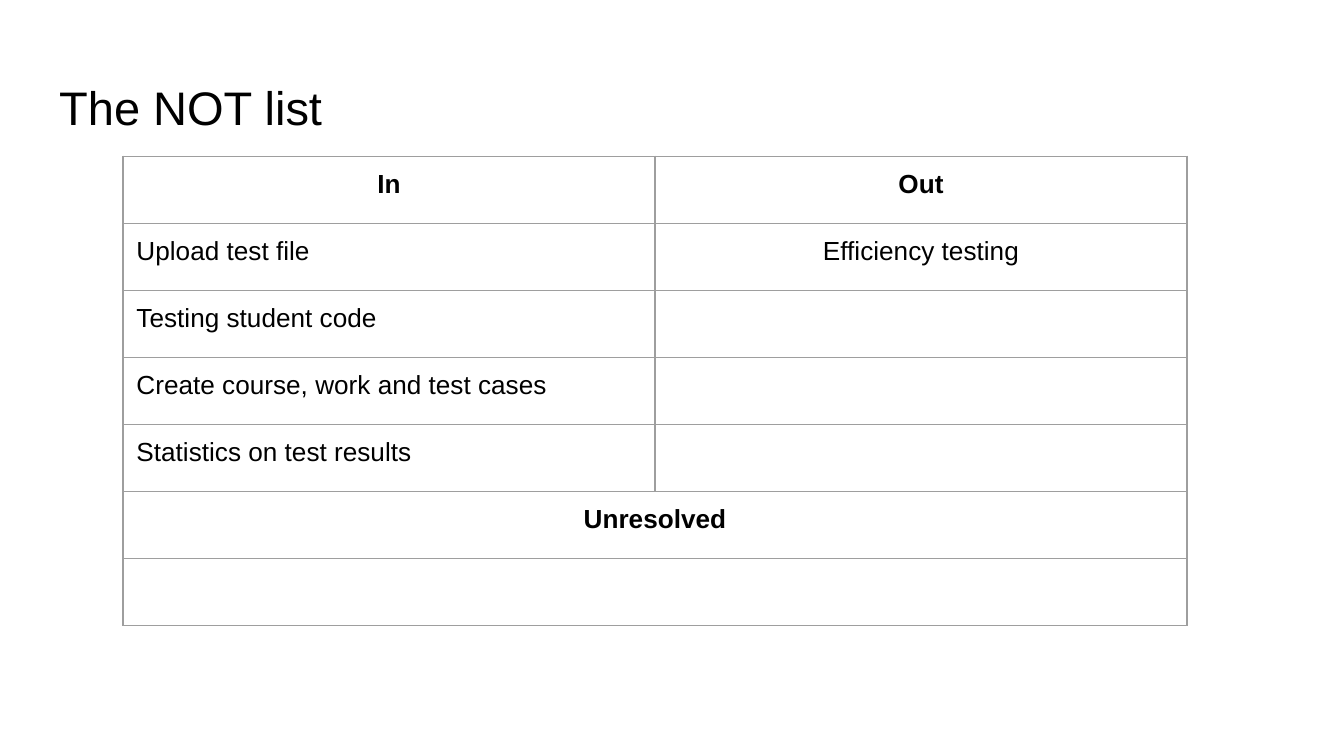
from lxml.etree import SubElement
from pptx import Presentation
from pptx.dml.color import RGBColor
from pptx.enum.text import MSO_ANCHOR as Anchor, MSO_AUTO_SIZE as AutoSize, PP_ALIGN as Align
from pptx.oxml.ns import qn
from pptx.util import Pt

ROWS = [
    ("In", "Out"),
    ("Upload test file", "Efficiency testing"),
    ("Testing student code", ""),
    ("Create course, work and test cases", ""),
    ("Statistics on test results", ""),
    ("Unresolved", ""),
    ("", ""),
]
HEADINGS = {"In", "Out", "Unresolved"}
FULL_WIDTH_ROWS = (5, 6)


def color(hex_code):
    return RGBColor.from_string(hex_code)


class SlideBuilder:
    font = "Arial"
    ink = "000000"
    grid = "9E9E9E"
    grid_width = 0.75
    inset = 7.2

    def __init__(self, slide):
        self.slide = slide

    def style(self, paragraph, size, bold=False, align=Align.LEFT):
        paragraph.alignment = align
        font = paragraph.font
        font.name, font.size, font.bold = self.font, Pt(size), bold
        font.color.rgb = color(self.ink)

    def set_insets(self, holder):
        """Give a cell or a text frame the same margin on every side."""
        holder.margin_left = holder.margin_right = Pt(self.inset)
        holder.margin_top = holder.margin_bottom = Pt(self.inset)

    def title(self, text, left, top, width, height):
        heading = self.slide.shapes.title
        heading.left, heading.top = Pt(left), Pt(top)
        heading.width, heading.height = Pt(width), Pt(height)
        frame = heading.text_frame
        frame.text = text
        frame.word_wrap = True
        frame.auto_size = AutoSize.NONE
        frame.vertical_anchor = Anchor.TOP
        self.set_insets(frame)
        self.style(frame.paragraphs[0], 25.2)

    def borders(self, cell):
        properties = cell._tc.get_or_add_tcPr()
        for side in ("lnL", "lnR", "lnT", "lnB"):
            line = SubElement(properties, qn(f"a:{side}"), w=str(Pt(self.grid_width)))
            fill = SubElement(line, qn("a:solidFill"))
            SubElement(fill, qn("a:srgbClr"), val=self.grid)

    def cell(self, cell, text, align):
        self.set_insets(cell)
        self.borders(cell)
        cell.fill.background()
        cell.vertical_anchor = Anchor.TOP
        cell.text = text
        self.style(cell.text_frame.paragraphs[0], 14, text in HEADINGS, align)

    def table(self, rows, left, top, column_width, row_height):
        columns = len(rows[0])
        table = self.slide.shapes.add_table(
            len(rows), columns, Pt(left), Pt(top),
            Pt(column_width * columns), Pt(row_height * len(rows))).table
        table.first_row = table.horz_banding = False
        for r, texts in enumerate(rows):
            for c, text in enumerate(texts):
                centered = c > 0 or text in HEADINGS
                self.cell(table.cell(r, c), text, Align.CENTER if centered else Align.LEFT)
        for r in FULL_WIDTH_ROWS:
            table.cell(r, 0).merge(table.cell(r, columns - 1))


def main():
    deck = Presentation()
    deck.slide_width, deck.slide_height = Pt(720), Pt(405)
    builder = SlideBuilder(deck.slides.add_slide(deck.slide_layouts[5]))
    builder.title("The NOT list", 24.5, 35, 671, 45.1)
    builder.table(ROWS, 65.9, 83.7, 285, 35.9)
    deck.save("out.pptx")


if __name__ == "__main__":
    main()
